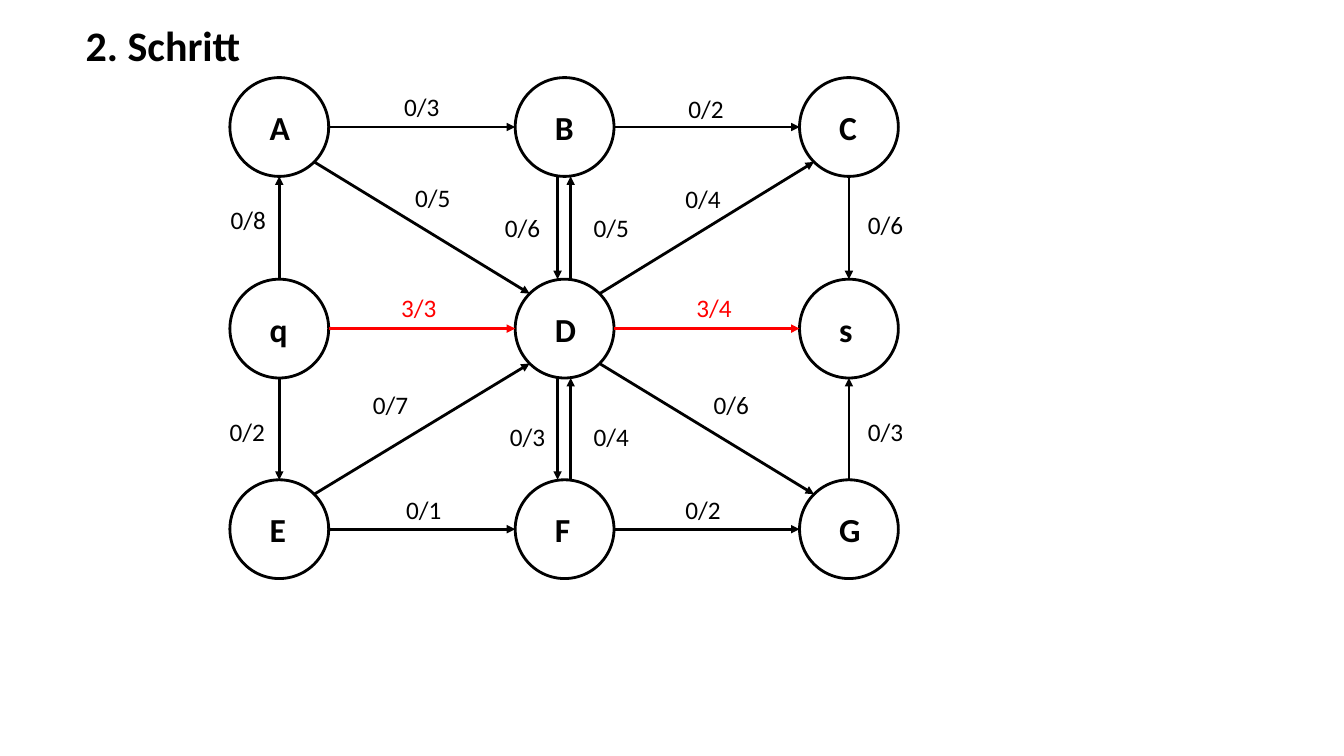
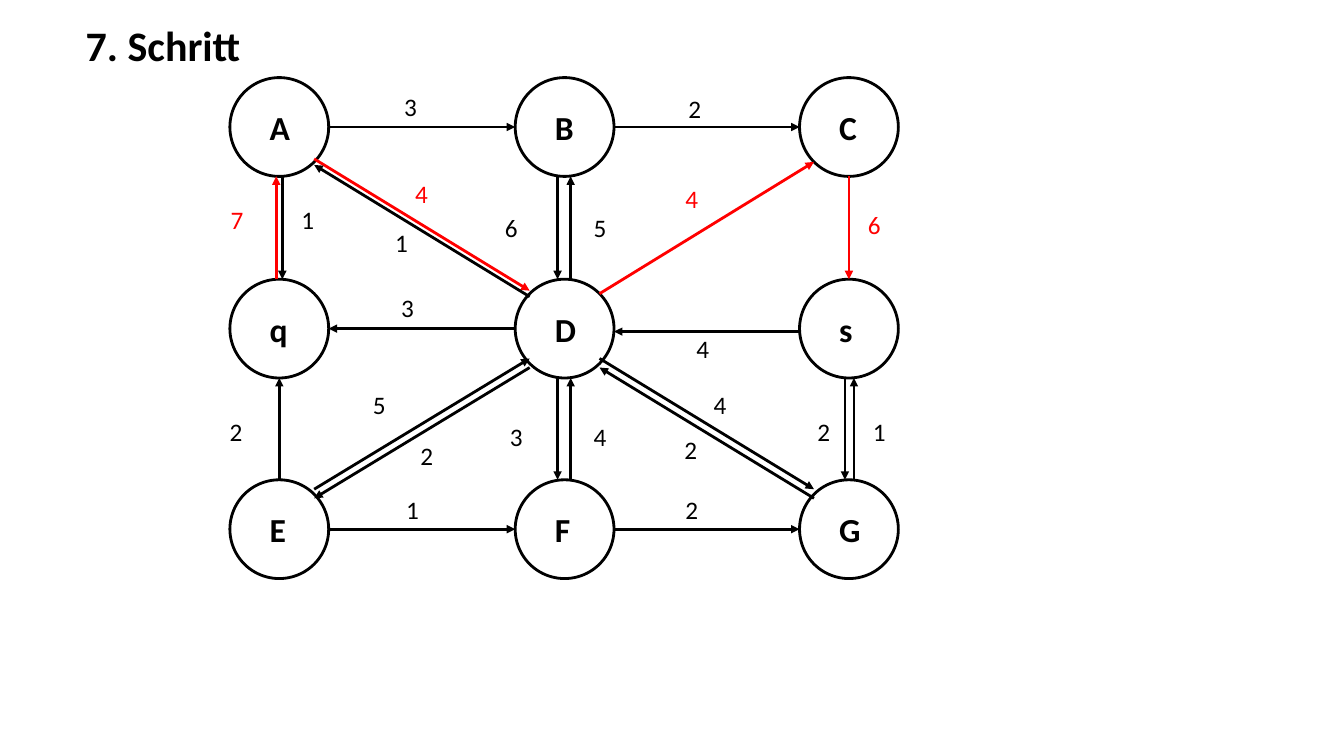
from math import hypot

from lxml import etree
from pptx import Presentation
from pptx.dml.color import RGBColor
from pptx.enum.shapes import MSO_CONNECTOR, MSO_SHAPE
from pptx.enum.text import MSO_ANCHOR, MSO_AUTO_SIZE, PP_ALIGN
from pptx.oxml.ns import qn
from pptx.util import Inches, Pt

STRAIGHT = MSO_CONNECTOR.STRAIGHT
OVAL = MSO_SHAPE.OVAL
MIDDLE = MSO_ANCHOR.MIDDLE
NO_AUTOFIT = MSO_AUTO_SIZE.NONE
LEFT = PP_ALIGN.LEFT

COLORS = {"ink": "000000", "path": "FF0000"}
FONT = "Calibri"
TITLE_ONLY = 5
LINE_WIDTH = 2

NODE_ROWS = ["ABC", "qDs", "EFG"]
COLUMN_CENTERS = [2.77, 5.6, 8.42]
ROW_CENTERS = [1.26, 3.26, 5.25]
RADIUS = 0.49
CENTERS = {
    name: (x, y)
    for names, y in zip(NODE_ROWS, ROW_CENTERS)
    for name, x in zip(names, COLUMN_CENTERS)
}

# fields: start and end node, label, label left, label top, sideways shift
STEPS = [
    {
        "title": "2. Schritt",
        "path": {"qD", "Ds"},
        "edges": [
            ("AB", "0/3", 3.91, 0.86, 0),
            ("BC", "0/2", 6.73, 0.88, 0),
            ("qD", "3/3", 3.88, 2.85, 0),
            ("Ds", "3/4", 6.81, 2.85, 0),
            ("EF", "0/1", 3.93, 4.85, 0),
            ("FG", "0/2", 6.7, 4.85, 0),
            ("AD", "0/5", 4.02, 1.76, 0),
            ("DG", "0/6", 6.98, 3.81, 0),
            ("ED", "0/7", 3.6, 3.81, 0),
            ("DC", "0/4", 6.7, 1.77, 0),
            ("qA", "0/8", 2.19, 1.98, 0),
            ("qE", "0/2", 2.18, 4.08, 0),
            ("Cs", "0/6", 8.51, 2.03, 0),
            ("Gs", "0/3", 8.51, 4.08, 0),
            ("BD", "0/6", 4.91, 2.06, -0.07),
            ("DB", "0/5", 5.79, 2.06, 0.06),
            ("FD", "0/4", 5.79, 4.13, 0.06),
            ("DF", "0/3", 4.96, 4.13, -0.07),
        ],
    },
    {
        "title": "7. Schritt",
        "path": {"qA", "AD", "DC", "Cs"},
        "edges": [
            ("AB", "3", 3.91, 0.86, 0),
            ("BC", "2", 6.73, 0.88, 0),
            ("Dq", "3", 3.88, 2.85, 0),
            ("sD", "4", 6.81, 3.26, 0.03),
            ("EF", "1", 3.93, 4.85, 0),
            ("FG", "2", 6.7, 4.85, 0),
            ("AD", "4", 4.02, 1.72, -0.03),
            ("DA", "1", 3.82, 2.21, 0.03),
            ("DG", "4", 6.98, 3.81, -0.05),
            ("GD", "2", 6.69, 4.26, 0.04),
            ("ED", "5", 3.6, 3.81, -0.05),
            ("DE", "2", 4.07, 4.32, 0.04),
            ("DC", "4", 6.7, 1.77, 0),
            ("qA", "7", 2.19, 1.98, -0.03),
            ("Aq", "1", 2.89, 1.98, 0.03),
            ("Eq", "2", 2.18, 4.08, 0),
            ("Cs", "6", 8.51, 2.03, 0),
            ("Gs", "1", 8.56, 4.08, 0.05),
            ("sG", "2", 8.01, 4.08, -0.04),
            ("BD", "6", 4.91, 2.06, -0.07),
            ("DB", "5", 5.79, 2.06, 0.06),
            ("FD", "4", 5.79, 4.13, 0.06),
            ("DF", "3", 4.96, 4.13, -0.07),
        ],
    },
]


def write_text(shape, text, size, bold=False, color="ink", wrap=False):
    frame = shape.text_frame
    frame.auto_size = NO_AUTOFIT
    frame.word_wrap = wrap
    frame.vertical_anchor = MIDDLE
    paragraph = frame.paragraphs[0]
    paragraph.text = text
    paragraph.alignment = LEFT
    font = paragraph.font
    font.name, font.size, font.bold = FONT, Pt(size), bold
    font.color.rgb = RGBColor.from_string(COLORS[color])


def style_line(shape, color="ink"):
    shape.line.width = Pt(LINE_WIDTH)
    shape.line.color.rgb = RGBColor.from_string(COLORS[color])


def add_title(slide, text):
    title = slide.shapes.title
    title.left, title.top = Inches(0.75), Inches(0.14)
    title.width, title.height = Inches(1.76), Inches(0.61)
    write_text(title, text, size=30, bold=True)


def add_node(slide, name):
    x, y = CENTERS[name]
    node = slide.shapes.add_shape(
        OVAL, Inches(x - RADIUS), Inches(y - RADIUS), Inches(2 * RADIUS), Inches(2 * RADIUS)
    )
    node.shadow.inherit = False
    node.fill.background()
    style_line(node)
    write_text(node, name, size=24, bold=True, wrap=True)
    node.text_frame.margin_left = Inches(0.25)
    node.text_frame.margin_right = 0


def sign(value):
    return (value > 0) - (value < 0)


def edge_points(start, end, shift):
    (x1, y1), (x2, y2) = CENTERS[start], CENTERS[end]
    step_x, step_y = sign(x2 - x1), sign(y2 - y1)
    reach = RADIUS / hypot(step_x, step_y)
    shift_x, shift_y = (0, shift) if step_x else (shift, 0)
    return (
        x1 + step_x * reach + shift_x,
        y1 + step_y * reach + shift_y,
        x2 - step_x * reach + shift_x,
        y2 - step_y * reach + shift_y,
    )


def add_edge(slide, nodes, shift, color):
    points = [Inches(value) for value in edge_points(*nodes, shift)]
    edge = slide.shapes.add_connector(STRAIGHT, *points)
    style_line(edge, color)
    etree.SubElement(edge.line._get_or_add_ln(), qn("a:tailEnd"), type="triangle")
    etree.SubElement(edge._element.spPr, qn("a:effectLst"))


def add_label(slide, text, left, top, color):
    width = 0.56 if "/" in text else 0.33
    label = slide.shapes.add_textbox(Inches(left), Inches(top), Inches(width), Inches(0.4))
    write_text(label, text, size=18, color=color)


def add_step(presentation, step):
    slide = presentation.slides.add_slide(presentation.slide_layouts[TITLE_ONLY])
    add_title(slide, step["title"])
    for name in CENTERS:
        add_node(slide, name)
    for nodes, text, left, top, shift in step["edges"]:
        color = "path" if nodes in step["path"] else "ink"
        add_edge(slide, nodes, shift, color)
        add_label(slide, text, left, top, color)


def main():
    presentation = Presentation()
    presentation.slide_width = Inches(13.33)
    presentation.slide_height = Inches(7.5)
    for step in STEPS:
        add_step(presentation, step)
    presentation.save("out.pptx")


if __name__ == "__main__":
    main()
